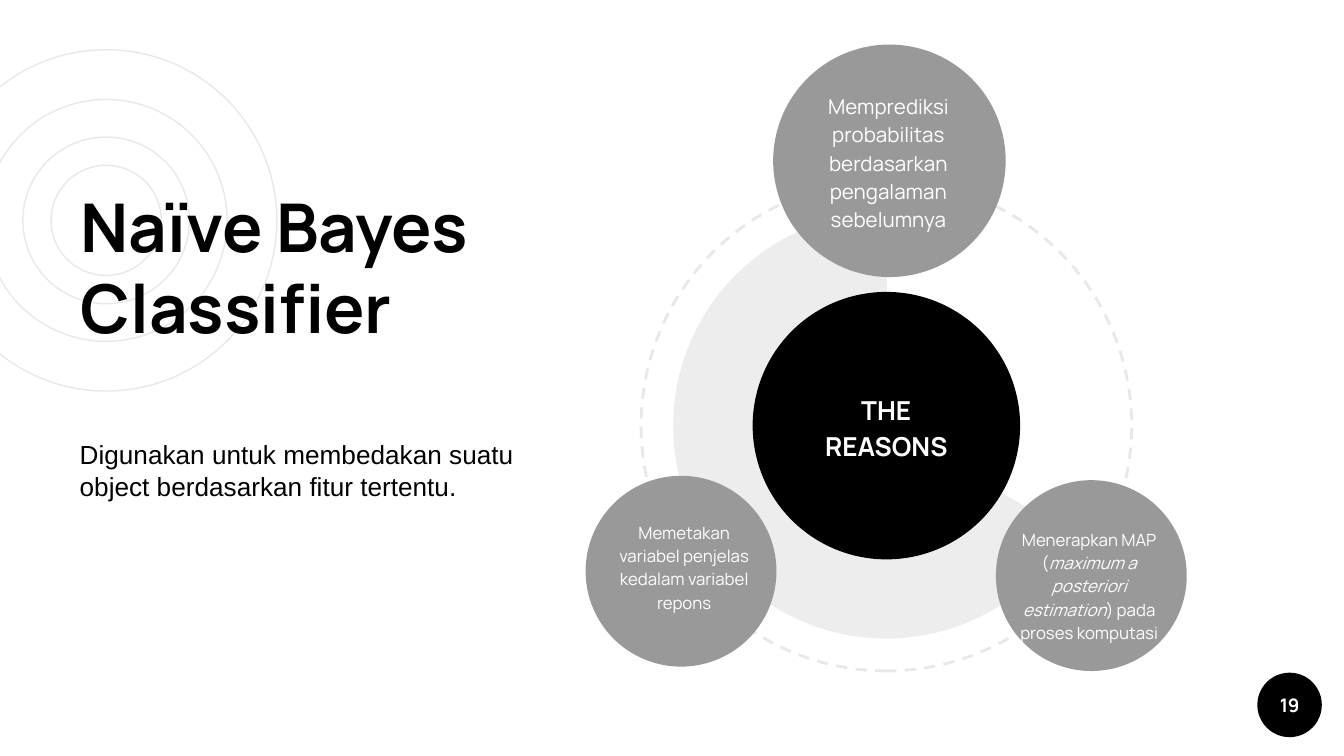
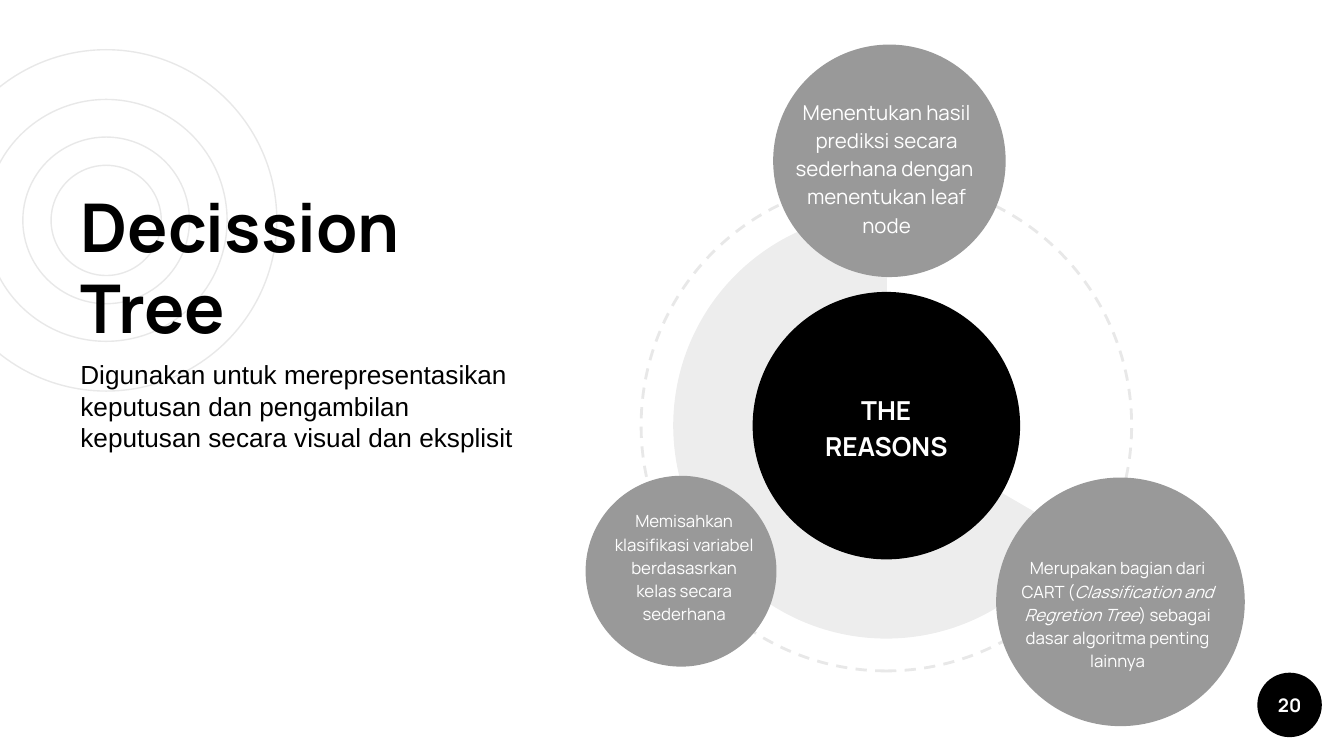
from pptx import Presentation
from pptx.dml.color import RGBColor
from pptx.enum.dml import MSO_LINE
from pptx.enum.shapes import MSO_SHAPE
from pptx.enum.text import MSO_ANCHOR, MSO_AUTO_SIZE, PP_ALIGN
from pptx.oxml.ns import qn
from pptx.util import Inches, Pt
from lxml.etree import SubElement

BLACK = RGBColor(0x00, 0x00, 0x00)
WHITE = RGBColor(0xFF, 0xFF, 0xFF)
GREY = RGBColor(0x99, 0x99, 0x99)
PALE = RGBColor(0xE8, 0xE8, 0xE8)

HEAD = "Manrope"
BODY = "Arial"
RINGS = (25.4, 12.4, 18, 8.2)
EYE = (7.9, 16.4)
HUB = (65.95, 31.67)
BADGE = (95.95, 52.45)

PAGES = [
    {
        "num": 19,
        "title": "Naïve Bayes Classifier",
        "tall": 20.5,
        "lead": "Digunakan untuk membedakan suatu object berdasarkan fitur tertentu.",
        "spot": (4.95, 32.15, 35.4, 5.7),
        "discs": [
            ((66.18, 11.97), 17.3, (58.7, 4.7, 14.8, 14.6), 11,
             "Memprediksi probabilitas berdasarkan pengalaman sebelumnya"),
            ((50.67, 42.5), 14.2, (44.5, 36.87, 12.8, 10.5), 9,
             "Memetakan variabel penjelas kedalam variabel repons"),
            ((81.2, 42.83), 14.2, (74.63, 38.25, 12.8, 10.5), 9,
             "Menerapkan MAP (*maximum a posteriori estimation*) pada proses komputasi"),
        ],
    },
    {
        "num": 20,
        "title": "Decission Tree",
        "tall": 14.4,
        "lead": "Digunakan untuk merepresentasikan keputusan dan pengambilan "
                "keputusan secara visual dan eksplisit",
        "spot": (5, 26.2, 35.4, 8.1),
        "discs": [
            ((66.18, 11.97), 17.3, (57.37, 5.1, 17.2, 14.6), 11,
             "Menentukan hasil prediksi secara sederhana dengan  menentukan leaf node"),
            ((50.67, 42.5), 14.2, (44.5, 36.87, 12.8, 10.5), 9,
             "Memisahkan klasifikasi variabel berdasasrkan kelas secara sederhana"),
            ((83.37, 44.78), 18.5, (74.8, 38.83, 16.7, 13.6), 9,
             "Merupakan bagian dari CART (*Classification and Regretion Tree*) "
             "sebagai dasar algoritma penting lainnya"),
        ],
    },
]


class Deck:
    """Draws styled slides on a grid of square cells, 100 to the slide width."""

    def __init__(self):
        self.prs = Presentation()
        self.prs.slide_width = Inches(10)
        self.prs.slide_height = self.prs.slide_width * 9 // 16
        self.cell = self.prs.slide_width / 100
        self.slide = None

    def grid(self, *cells):
        return [round(n * self.cell) for n in cells]

    def page(self):
        self.slide = self.prs.slides.add_slide(self.prs.slide_layouts[5])

    def round(self, mid, size, fill=None, line=None, kind=MSO_SHAPE.OVAL):
        x, y = mid
        box = self.grid(x - size / 2, y - size / 2, size, size)
        shape = self.slide.shapes.add_shape(kind, *box)
        shape.shadow.inherit = False
        if fill is None:
            shape.fill.background()
        else:
            shape.fill.solid()
            shape.fill.fore_color.rgb = fill
        if line is None:
            shape.line.fill.background()
        else:
            shape.line.color.rgb = PALE
            shape.line.width = Pt(line)
        return shape

    def style(self, frame, size, face, color, bold=False, align=PP_ALIGN.LEFT):
        for para in frame.paragraphs:
            para.alignment = align
            for run in para.runs:
                run.font.size = Pt(size)
                run.font.name = face
                run.font.bold = bold
                run.font.color.rgb = color

    def pad(self, frame, edge):
        frame.margin_left = frame.margin_right = Inches(0.1)
        frame.margin_top = frame.margin_bottom = Inches(edge)

    def title(self, text, tall):
        shape = self.slide.shapes.title
        shape.left, shape.top, shape.width, shape.height = self.grid(5, 12.8, 32.8, tall)
        frame = shape.text_frame
        frame.text = text
        frame.word_wrap = True
        frame.auto_size = MSO_AUTO_SIZE.NONE
        frame.vertical_anchor = MSO_ANCHOR.TOP
        self.pad(frame, 0.1)
        self.style(frame, 36, HEAD, BLACK, True)
        shape.element.getparent().append(shape.element)

    def lead(self, text, spot):
        frame = self.slide.shapes.add_textbox(*self.grid(*spot)).text_frame
        frame.text = text
        frame.word_wrap = True
        frame.auto_size = MSO_AUTO_SIZE.SHAPE_TO_FIT_TEXT
        self.pad(frame, 0.05)
        self.style(frame, 14, BODY, BLACK)

    def label(self, text, spot, size, bold=False, space=1.15):
        frame = self.slide.shapes.add_textbox(*self.grid(*spot)).text_frame
        frame.word_wrap = True
        frame.vertical_anchor = MSO_ANCHOR.MIDDLE
        self.pad(frame, 0.1)
        for i, line in enumerate(text.split("\n")):
            para = frame.add_paragraph() if i else frame.paragraphs[0]
            para.line_spacing = space
            for j, part in enumerate(line.split("*")):
                run = para.add_run()
                run.text = part
                run.font.italic = j % 2 == 1
        self.style(frame, size, HEAD, WHITE, bold, PP_ALIGN.CENTER)

    def rings(self):
        for size in RINGS:
            self.round(EYE, size, line=0.75)

    def badge(self, num):
        x, y = BADGE
        self.round(BADGE, 4.8, BLACK)
        self.label(str(num), (x - 2.4, y - 2.4, 4.8, 4.8), 10, True, 1.0)

    def hub(self):
        orbit = self.round(HUB, 36.5, line=1.5)
        orbit.line.dash_style = MSO_LINE.DASH
        orbit.rotation = 270
        pie = self.round(HUB, 31.7, BLACK, kind=MSO_SHAPE.PIE)
        pie.adjustments[0] = 18.12
        pie.adjustments[1] = 162.15
        tint = pie.element.spPr.find(qn("a:solidFill"))[0]
        SubElement(tint, qn("a:alpha")).set("val", "7000")
        self.round(HUB, 19.9, BLACK)
        self.label("THE\nREASONS", (58.6, 27.15, 14.7, 9), 14, True)

    def disc(self, mid, wide, spot, size, text):
        self.round(mid, wide, GREY)
        self.label(text, spot, size)


def main():
    deck = Deck()
    for page in PAGES:
        deck.page()
        deck.rings()
        deck.title(page["title"], page["tall"])
        deck.badge(page["num"])
        deck.hub()
        for disc in page["discs"]:
            deck.disc(*disc)
        deck.lead(page["lead"], page["spot"])
    deck.prs.save("out.pptx")


if __name__ == "__main__":
    main()
